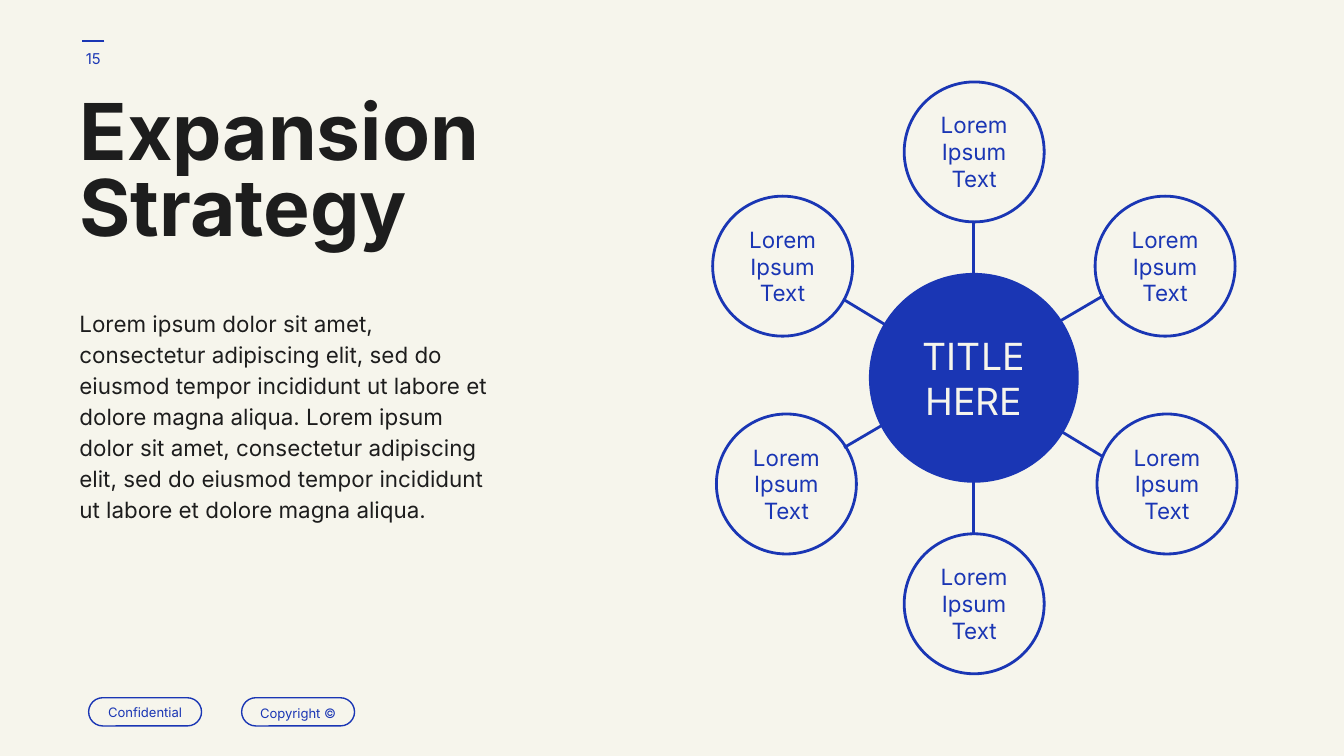
from dataclasses import dataclass

from lxml.etree import SubElement
from pptx import Presentation
from pptx.dml.color import RGBColor as Rgb
from pptx.enum.shapes import MSO_CONNECTOR as Conn, MSO_SHAPE as Kind
from pptx.enum.text import MSO_ANCHOR as Anchor, PP_ALIGN as Align
from pptx.oxml.ns import qn
from pptx.util import Pt


@dataclass(frozen=True)
class Theme:
    font: str = "Inter"
    paper: Rgb = Rgb(0xF6, 0xF5, 0xEC)
    blue: Rgb = Rgb(0x1A, 0x36, 0xB4)
    ink: Rgb = Rgb(0x1D, 0x1D, 0x1D)
    title: int = 42
    hub: int = 20
    body: int = 12
    page: int = 8
    tag: int = 7
    thin: float = 0.75
    thick: float = 1.5


THEME = Theme()
INSET = 7.2
HUB = (521.7, 202.4)
HUB_SIZE = 112.4
NODE_SIZE = 75
NODES = [
    (624.2, 142.6), (419.3, 142.6), (521.9, 81.4),
    (421.3, 259.3), (625.2, 259.3), (521.9, 323.5),
]
SPOKES = [
    (452.2, 239.8, 591.1, 158.4),
    (591.1, 244.8, 452.2, 160.6),
    (HUB[0], 285.8, HUB[0], 118.8),
]
BODY = (
    "Lorem ipsum dolor sit amet, consectetur adipiscing elit, sed do "
    "eiusmod tempor incididunt ut labore et dolore magna aliqua. "
    "Lorem ipsum dolor sit amet, consectetur adipiscing elit, sed do "
    "eiusmod tempor incididunt ut labore et dolore magna aliqua."
)


def write(shape, lines, size, color, align=Align.CENTER,
          anchor=Anchor.MIDDLE, space=1.0, bold=False):
    """Fill a shape with one paragraph per line."""
    frame = shape.text_frame
    frame.word_wrap = True
    frame.vertical_anchor = anchor
    frame.margin_left = frame.margin_right = Pt(INSET)
    frame.margin_top = frame.margin_bottom = Pt(INSET)
    for i, line in enumerate(lines):
        para = frame.paragraphs[0] if i == 0 else frame.add_paragraph()
        para.alignment = align
        para.line_spacing = space
        run = para.add_run()
        run.text = line
        run.font.name = THEME.font
        run.font.size = Pt(size)
        run.font.bold = bold
        run.font.color.rgb = color


def add_text(slide, box, lines, size, color, **style):
    shape = slide.shapes.add_textbox(*map(Pt, box))
    write(shape, lines, size, color, **style)


def add_line(slide, ends, width):
    line = slide.shapes.add_connector(Conn.STRAIGHT, *map(Pt, ends))
    line.line.color.rgb = THEME.blue
    line.line.width = Pt(width)
    SubElement(line._element.spPr, qn("a:effectLst"))


def add_round(slide, box):
    """Add a fully rounded box, which is a circle when it is square."""
    shape = slide.shapes.add_shape(Kind.ROUNDED_RECTANGLE, *map(Pt, box))
    shape.adjustments[0] = 0.5
    shape.shadow.inherit = False
    return shape


def add_ring(slide, box, lines, size, width, space=1.0):
    """Add a rounded outline with blue text."""
    shape = add_round(slide, box)
    shape.fill.background()
    shape.line.color.rgb = THEME.blue
    shape.line.width = Pt(width)
    write(shape, lines, size, THEME.blue, space=space)


def around(center, size):
    """Return the square box about a center."""
    x, y = center
    return x - size / 2, y - size / 2, size, size


def add_hub(slide):
    shape = add_round(slide, around(HUB, HUB_SIZE))
    shape.fill.solid()
    shape.fill.fore_color.rgb = THEME.blue
    shape.line.fill.background()
    write(shape, ["TITLE", "HERE"], THEME.hub, THEME.paper)


def main():
    deck = Presentation()
    deck.slide_width, deck.slide_height = Pt(720), Pt(405)
    slide = deck.slides.add_slide(deck.slide_layouts[6])
    slide.background.fill.solid()
    slide.background.fill.fore_color.rgb = THEME.paper

    add_line(slide, (55.9, 22, 43.9, 22), THEME.thin)
    for left, label, space in [(47.5, "Confidential", 1.0),
                               (129.5, "Copyright ©", 1.15)]:
        add_ring(slide, (left, 373.8, 60.5, 15.1), [label],
                 THEME.tag, THEME.thin, space)

    add_text(slide, (35.5, 46.8, 311, 103.7), ["Expansion", "Strategy"],
             THEME.title, THEME.ink, align=Align.LEFT, anchor=Anchor.TOP,
             space=0.8, bold=True)
    add_text(slide, (35.5, 157, 233.3, 135.4), [BODY],
             THEME.body, THEME.ink, align=Align.LEFT, anchor=Anchor.TOP,
             space=1.15)

    for ends in SPOKES:
        add_line(slide, ends, THEME.thick)
    add_hub(slide)
    for center in NODES:
        add_ring(slide, around(center, NODE_SIZE),
                 ["Lorem", "Ipsum", "Text"], THEME.body, THEME.thick)

    add_text(slide, (33.1, 15.8, 33.8, 31), ["15"], THEME.page, THEME.blue)
    deck.save("out.pptx")


if __name__ == "__main__":
    main()
